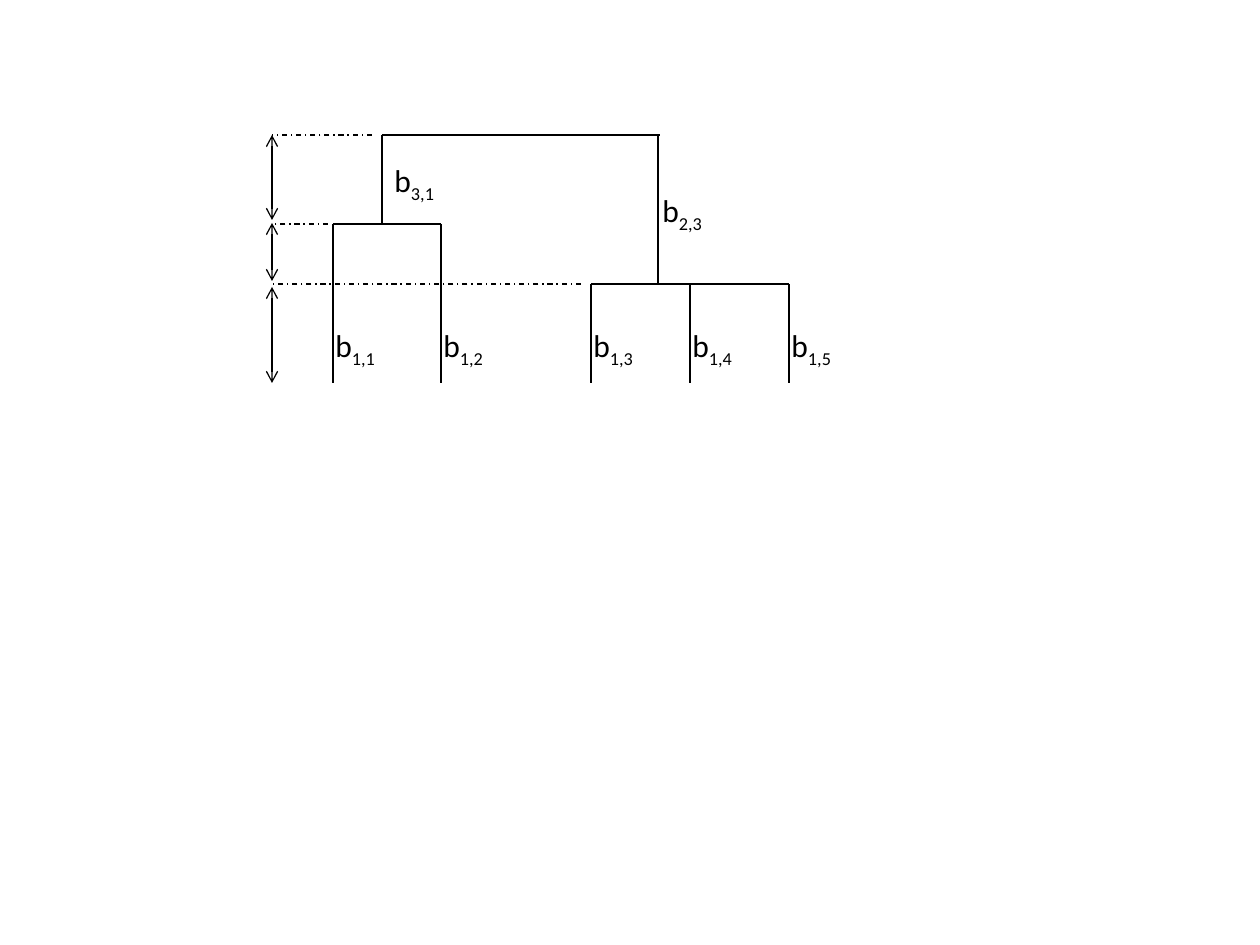
from typing import NamedTuple

from lxml import etree
from pptx import Presentation, util as u
from pptx.dml.color import RGBColor
from pptx.enum import dml, shapes, text
from pptx.oxml import ns

SCALE = 914400 / 126  # EMU in one px
INK = {"black": "000000"}

# Levels of the tree, top down
ROOT, LEFT, RIGHT, LEAF = 135, 224, 284, 383
AXIS = 272
LEAVES = (333, 441, 591, 690, 789)
TRUNK, LIMB = 382, 658


class Line(NamedTuple):
    x1: int
    y1: int
    x2: int
    y2: int
    dash: bool = False
    heads: bool = False


class Label(NamedTuple):
    x: int
    y: int
    sub: str


def px(n: int) -> u.Emu:
    return u.Emu(round(n * SCALE))


def draw_line(slide, ln: Line) -> None:
    item = slide.shapes.add_connector(
        shapes.MSO_CONNECTOR.STRAIGHT, px(ln.x1), px(ln.y1), px(ln.x2), px(ln.y2))
    item.line.color.rgb = RGBColor.from_string(INK["black"])
    item.line.width = u.Pt(0.75)
    if ln.dash:
        item.line.dash_style = dml.MSO_LINE.DASH_DOT
    if ln.heads:
        edge = item.line._get_or_add_ln()
        for tag in ("a:headEnd", "a:tailEnd"):
            etree.SubElement(edge, ns.qn(tag), type="arrow")
    etree.SubElement(item._element.spPr, ns.qn("a:effectLst"))


def add_run(para, words: str, *, size: int = 18, font: str = "Calibri",
            ink: str = "black", base: int = 0) -> None:
    run = para.add_run()
    run.text = words
    run.font.size = u.Pt(size)
    run.font.name = font
    run.font.color.rgb = RGBColor.from_string(INK[ink])
    if base:
        run.font._element.set("baseline", str(base * 1000))


def draw_label(slide, tag: Label) -> None:
    box = slide.shapes.add_textbox(px(tag.x), px(tag.y), px(69), px(50))
    frame = box.text_frame
    frame.word_wrap = False
    frame.auto_size = text.MSO_AUTO_SIZE.SHAPE_TO_FIT_TEXT
    para = frame.paragraphs[0]
    add_run(para, "b")
    add_run(para, tag.sub, base=-25)


def main() -> None:
    deck = Presentation()
    deck.slide_width, deck.slide_height = px(1260), px(945)
    slide = deck.slides.add_slide(deck.slide_layouts[6])

    # Tree: bars, inner branches, then leaf branches
    lines = [
        Line(TRUNK, ROOT, 660, ROOT),
        Line(LEAVES[2], RIGHT, LEAVES[4], RIGHT),
        Line(LEAVES[0], LEFT, LEAVES[1], LEFT),
        Line(TRUNK, ROOT, TRUNK, LEFT),
        Line(LIMB, ROOT, LIMB, RIGHT),
    ]
    lines += [Line(x, LEFT if i < 2 else RIGHT, x, LEAF)
              for i, x in enumerate(LEAVES)]

    # Dashed level marks and height arrows
    lines += [Line(x, y, AXIS, y, dash=True)
              for x, y in ((372, ROOT), (328, LEFT), (581, RIGHT))]
    lines += [Line(AXIS, top, AXIS, end, heads=True)
              for top, end in ((ROOT, 220), (223, 281), (287, LEAF))]
    for ln in lines:
        draw_line(slide, ln)

    # Branch labels
    tags = [Label(TRUNK, 155, "3,1"), Label(650, 185, "2,3")]
    tags += [Label(x - 10, 320, f"1,{i}") for i, x in enumerate(LEAVES, 1)]
    for tag in tags:
        draw_label(slide, tag)

    deck.save("out.pptx")


if __name__ == "__main__":
    main()
